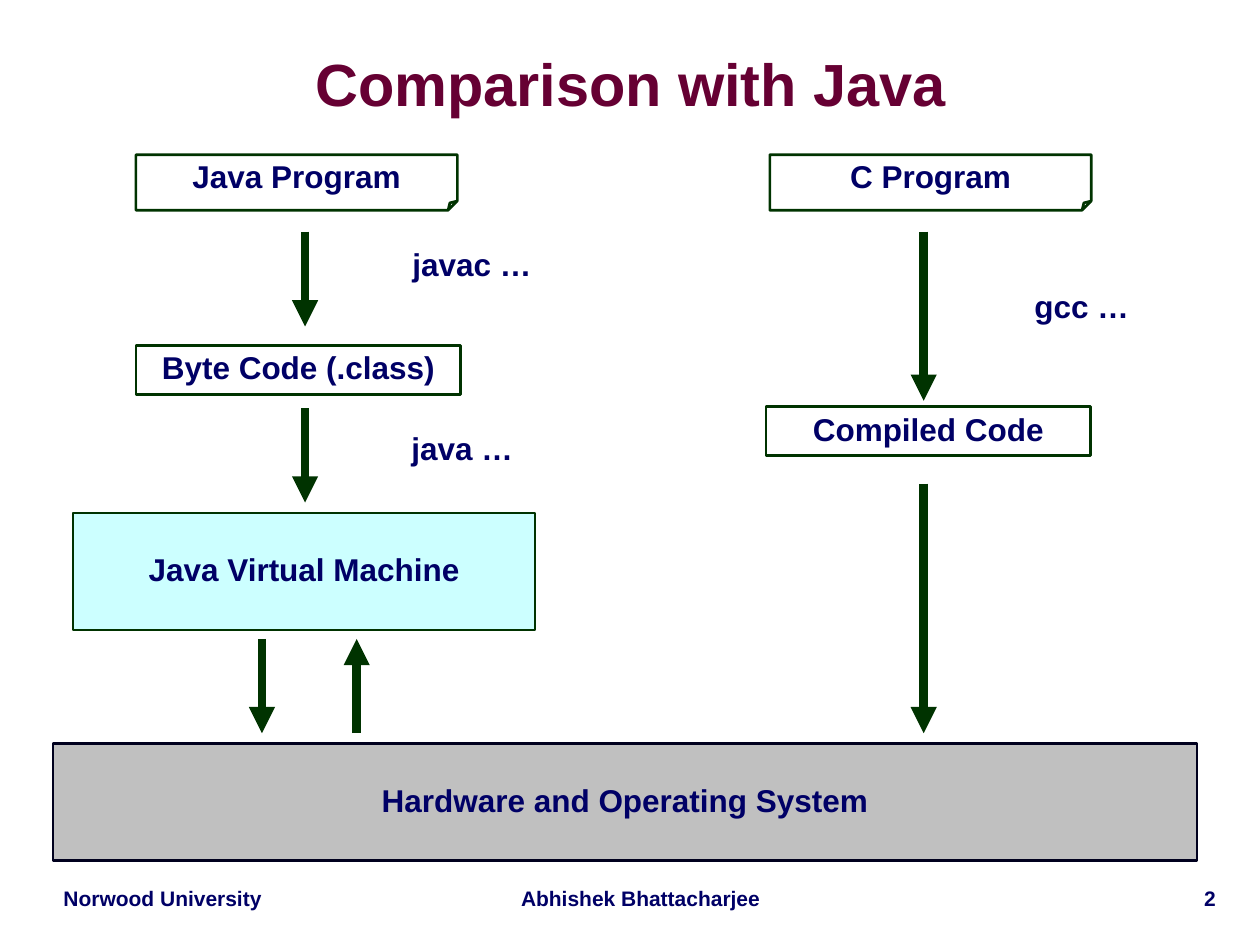
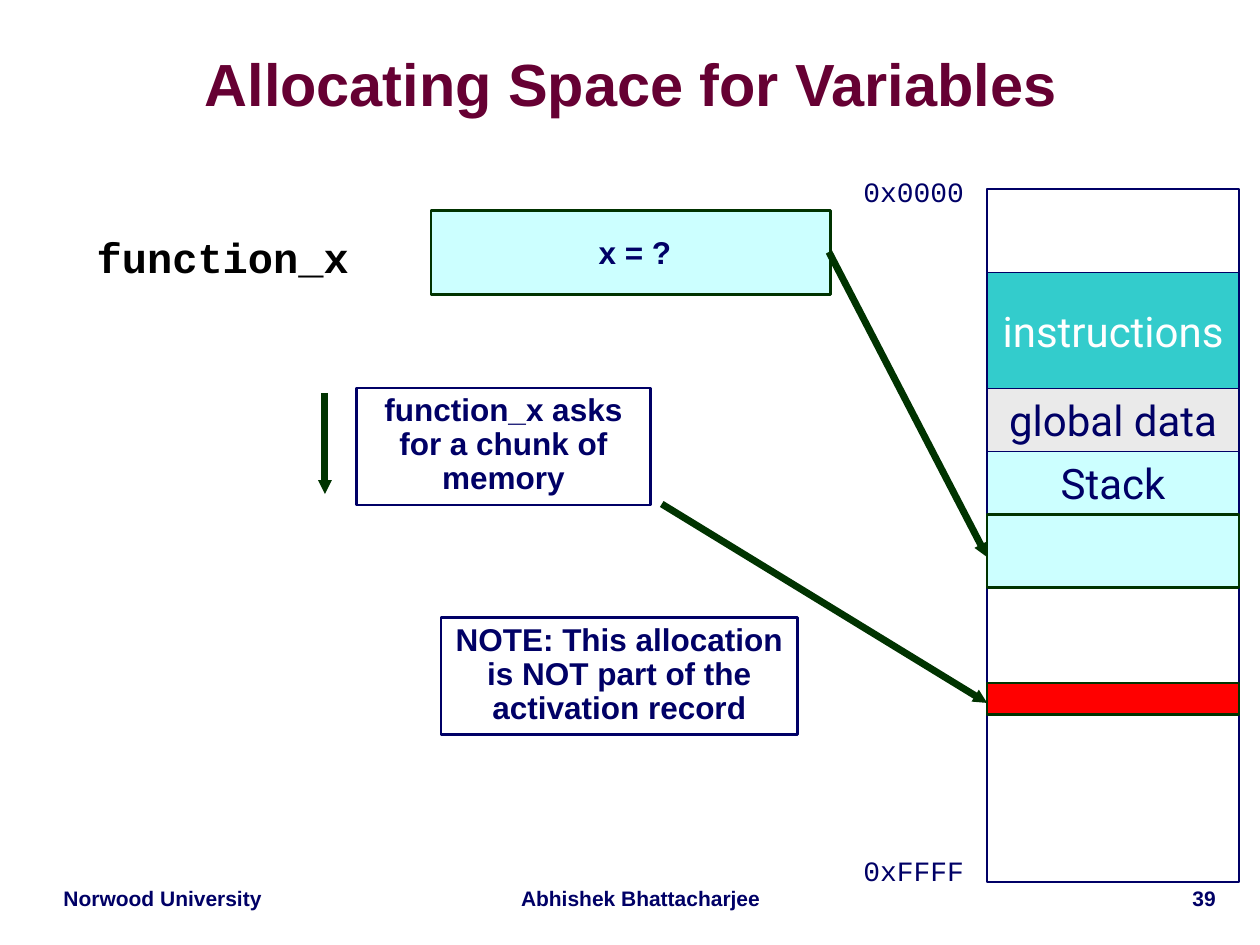
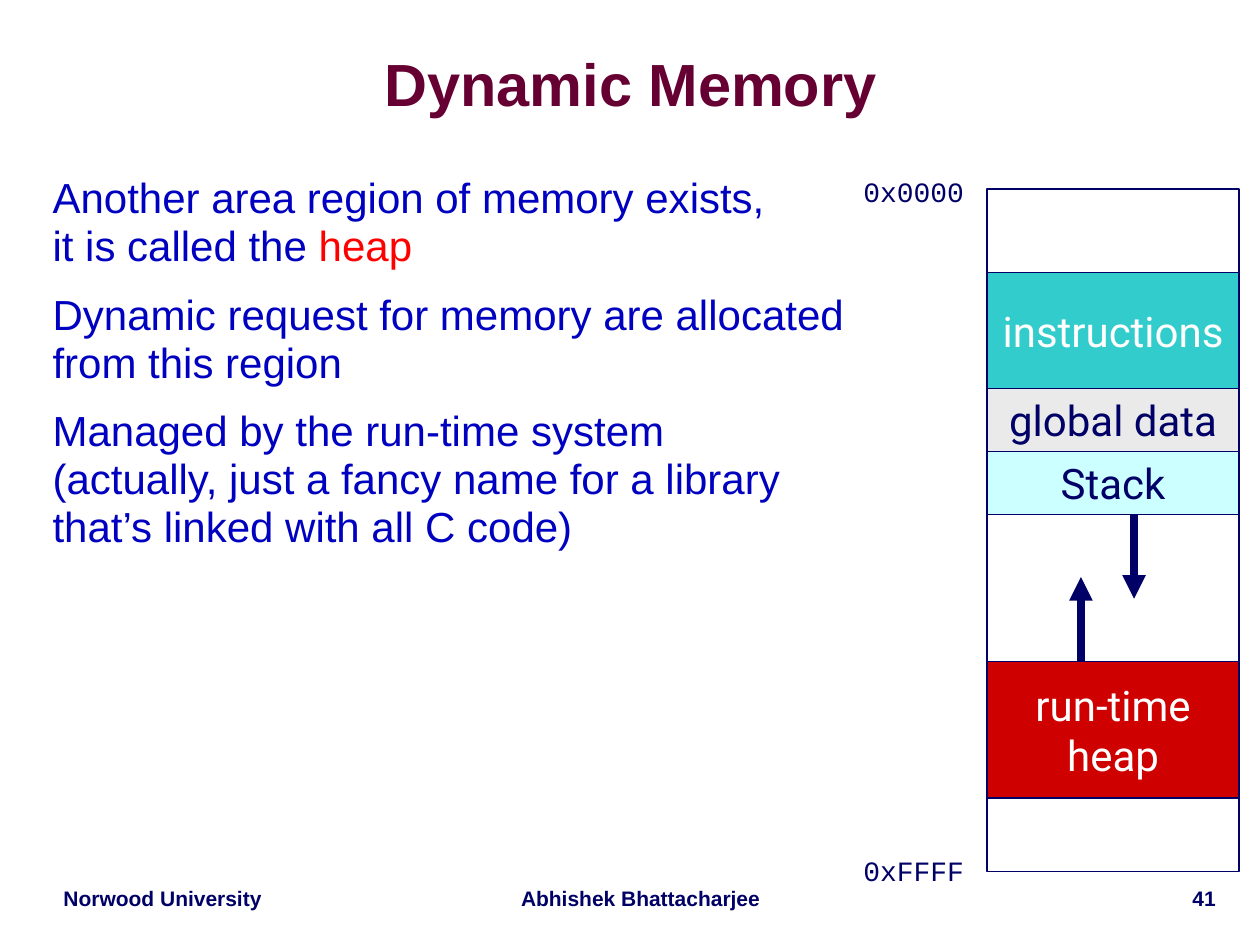
from copy import deepcopy
from dataclasses import dataclass

from lxml import etree
from pptx import Presentation
from pptx import util as u
from pptx.dml.color import RGBColor
from pptx.enum import shapes, text
from pptx.oxml.ns import qn

Cm, Pt = u.Cm, u.Pt
Kind, Align, Anchor = shapes.MSO_SHAPE, text.PP_ALIGN, text.MSO_ANCHOR


@dataclass(frozen=True)
class Theme:
    # Colours
    title: str = "660033"
    navy: str = "000066"
    body: str = "0000C0"
    green: str = "003300"
    dark: str = "00001E"
    cyan: str = "CCFFFF"
    teal: str = "33CCCC"
    grey: str = "C0C0C0"
    pale: str = "EAEAEA"
    red: str = "FF0000"
    heap: str = "CE0000"
    white: str = "FFFFFF"
    black: str = "000000"
    # Fonts and type sizes
    sans: str = "Arial"
    mono: str = "Courier New"
    block: str = "Roboto"
    title_size: int = 34
    large_size: int = 24
    label_size: int = 18
    address_size: int = 16
    footer_size: int = 12
    # Lengths in centimetres
    inset: float = 0.13
    column_left: float = 19.9
    column_top: float = 3.81
    column_width: float = 5.08


THEME = Theme()


@dataclass(frozen=True)
class Style:
    size: float = THEME.label_size
    color: str = THEME.navy
    font: str = THEME.sans
    bold: bool = True
    spacing: float = 0.9


LABEL = Style()
TITLE = Style(THEME.title_size, THEME.title, spacing=0.87)
FOOTER = Style(THEME.footer_size)
BODY = Style(THEME.large_size, THEME.body, bold=False, spacing=0.95)
CODE = Style(THEME.large_size, THEME.black, THEME.mono)
ADDRESS = Style(THEME.address_size, font=THEME.mono, bold=False, spacing=1.0)
BLOCK = Style(THEME.large_size, font=THEME.block, bold=False, spacing=1.0)
LIGHT_BLOCK = Style(THEME.large_size, THEME.white, THEME.block, False, 1.0)


# Text helpers

def format_span(span, style):
    font = span.font
    font.name, font.size, font.bold = style.font, Pt(style.size), style.bold
    font.color.rgb = RGBColor.from_string(style.color)


def format_para(para, style, align):
    para.alignment = align
    para.line_spacing = style.spacing
    for span in para.runs:
        format_span(span, style)


def fill_text(box, words, style=LABEL, align=Align.CENTER,
              anchor=Anchor.MIDDLE, wrap=True, inset=THEME.inset):
    frame = box.text_frame
    frame.text = words
    frame.word_wrap = wrap
    frame.auto_size = text.MSO_AUTO_SIZE.NONE
    frame.vertical_anchor = anchor
    frame.margin_left = frame.margin_right = Cm(inset)
    frame.margin_top = frame.margin_bottom = Cm(min(inset, THEME.inset))
    for para in frame.paragraphs:
        format_para(para, style, align)


def add_label(page, words, left, top, width, height=0.94, style=LABEL, **layout):
    box = page.shapes.add_textbox(Cm(left), Cm(top), Cm(width), Cm(height))
    fill_text(box, words, style, anchor=Anchor.TOP, **layout)


# Shapes and arrows

def add_box(page, left, top, width, height, words="", fill=None,
            line=THEME.green, weight=1.5, kind=Kind.RECTANGLE, **layout):
    box = page.shapes.add_shape(kind, Cm(left), Cm(top), Cm(width), Cm(height))
    box.shadow.inherit = False
    if fill:
        box.fill.solid()
        box.fill.fore_color.rgb = RGBColor.from_string(fill)
    else:
        box.fill.background()
    box.line.color.rgb = RGBColor.from_string(line)
    box.line.width = Pt(weight)
    if words:
        fill_text(box, words, **layout)


def add_arrow(page, start, end, color=THEME.green, weight=5, head="med"):
    (x1, y1), (x2, y2) = start, end
    arrow = page.shapes.add_connector(
        shapes.MSO_CONNECTOR.STRAIGHT, Cm(x1), Cm(y1), Cm(x2), Cm(y2))
    arrow.line.color.rgb = RGBColor.from_string(color)
    arrow.line.width = Pt(weight)
    properties = arrow._element.spPr
    etree.SubElement(properties.find(qn("a:ln")), qn("a:tailEnd"),
                     type="triangle", w=head, len=head)
    etree.SubElement(properties, qn("a:effectLst"))


# Shared page parts

def place(box, left, top, width, height):
    box.left, box.top = Cm(left), Cm(top)
    box.width, box.height = Cm(width), Cm(height)


def add_page(deck, layout, title, number):
    page = deck.slides.add_slide(deck.slide_layouts.get_by_name(layout))
    heading = page.shapes.title
    place(heading, 0.79, 0.69, 23.85, 2.16)
    fill_text(heading, title, TITLE, inset=0)
    for words, left, width, align in (
            ("Norwood University", 0.84, 4.88, Align.CENTER),
            ("Abhishek Bhattacharjee", 10.16, 5.51, Align.CENTER),
            (str(number), 20.75, 4.01, Align.RIGHT)):
        add_label(page, words, left, 17.78, width, 0.71, FOOTER,
                  align=align, inset=0.25)
    return page


def add_memory(page, lower_blocks):
    """Stack the memory regions from the lowest address downwards."""
    blocks = [
        ("", 1.69, THEME.white, BLOCK),
        ("instructions", 2.33, THEME.teal, LIGHT_BLOCK),
        ("global data", 1.27, THEME.pale, BLOCK),
        ("Stack", 1.27, THEME.cyan, BLOCK),
    ] + lower_blocks
    top = THEME.column_top
    for words, height, fill, style in blocks:
        add_box(page, THEME.column_left, top, THEME.column_width, height, words,
                fill, THEME.navy, 0.75, style=style, wrap=False)
        top += height
    for words, top in (("0x0000", 3.38), ("0xFFFF", 17.07)):
        add_label(page, words, 17.15, top, 2.54, style=ADDRESS,
                  wrap=False, inset=0.25)


def add_body(page, items):
    body = page.placeholders[1]
    place(body, 0.81, 3.4, 23.95, 13.97)
    fill_text(body, "", anchor=Anchor.TOP, inset=0.25)
    frame = body.text_frame
    for index, (words, accent) in enumerate(items):
        para = frame.add_paragraph() if index else frame.paragraphs[0]
        para.text = words
        format_para(para, BODY, Align.LEFT)
        para.space_before, para.space_after = Pt(0), Pt(12)
        # Line breaks take the type size of the text around them
        for line_break in para._p.findall(qn("a:br")):
            line_break.append(deepcopy(para.runs[0]._r.rPr))
        if accent:
            span = para.add_run()
            span.text = accent
            format_span(span, BODY)
            span.font.color.rgb = RGBColor.from_string(THEME.red)
        properties = para._p.get_or_add_pPr()
        properties.set("marL", "0")
        properties.set("indent", "0")
        etree.SubElement(properties, qn("a:buNone"))


# Pages

def comparison_page(deck):
    page = add_page(deck, "Title Only", "Comparison with Java", 2)
    # Boxes
    for words, left in (("Java Program", 2.74), ("C Program", 15.52)):
        add_box(page, left, 3.12, 6.48, 1.12, words, kind=Kind.FOLDED_CORNER)
    add_box(page, 2.74, 6.96, 6.55, 0.99, "Byte Code (.class)")
    add_box(page, 15.44, 8.2, 6.55, 0.99, "Compiled Code")
    add_box(page, 1.47, 10.34, 9.32, 2.36, "Java Virtual Machine", THEME.cyan)
    add_box(page, 1.07, 14.99, 23.06, 2.36, "Hardware and Operating System",
            THEME.grey, THEME.dark)
    # Steps between them
    for x, start, end in ((6.15, 4.67, 6.58), (6.15, 8.23, 10.13),
                          (5.28, 12.88, 14.78), (7.19, 14.78, 12.88),
                          (18.62, 4.67, 8.08), (18.62, 9.75, 14.78)):
        add_arrow(page, (x, start), (x, end))
    # Commands
    for words, left, top in (("javac …", 7.19, 4.9), ("java …", 6.99, 8.61),
                             ("gcc …", 19.48, 5.74)):
        add_label(page, words, left, top, 4.65)


def allocation_page(deck):
    page = add_page(deck, "Title Only", "Allocating Space for Variables", 39)
    add_memory(page, [("", 7.41, THEME.white, BLOCK)])
    # Function and its variable
    add_label(page, "function_x", 1.8, 4.65, 5.38, 1.19, CODE, wrap=False)
    add_box(page, 8.69, 4.24, 8.05, 1.7, fill=THEME.cyan)
    add_label(page, "x = ?", 10.26, 4.65, 5.08)
    # Notes
    for words, left, top, width in (
            ("function_x asks for a chunk of memory", 7.19, 7.82, 5.92),
            ("NOTE: This allocation is NOT part of the activation record",
             8.89, 12.45, 7.19)):
        add_box(page, left, top, width, 2.36, words, line=THEME.navy,
                anchor=Anchor.TOP)
    # Allocated regions and the arrows to them
    for top, height, fill in ((10.37, 1.47, THEME.cyan), (13.77, 0.64, THEME.red)):
        add_box(page, THEME.column_left, top, THEME.column_width, height, fill=fill)
    for start, end in (((16.71, 5.08), (THEME.column_left, 11.23)),
                       ((6.55, 7.92), (6.55, 9.96)),
                       ((13.34, 10.16), (THEME.column_left, 14.17))):
        add_arrow(page, start, end, weight=4, head="sm")


def heap_page(deck):
    page = add_page(deck, "Title and Content", "Dynamic Memory", 41)
    add_body(page, [
        ("Another area region of memory exists,\nit is called the ", "heap"),
        ("Dynamic request for memory are allocated\nfrom this region", ""),
        ("Managed by the run-time system\n"
         "(actually, just a fancy name for a library\n"
         "that’s linked with all C code)", ""),
    ])
    add_memory(page, [
        ("", 2.97, THEME.white, BLOCK),
        ("run-time\nheap", 2.75, THEME.heap, LIGHT_BLOCK),
        ("", 1.48, THEME.white, BLOCK),
    ])
    # Directions of growth
    for x, start, end in ((21.79, 13.34, 11.63), (22.86, 10.37, 12.07)):
        add_arrow(page, (x, start), (x, end), THEME.navy, 4.5)


def main():
    deck = Presentation()
    deck.slide_width, deck.slide_height = Cm(25.4), Cm(19.05)
    comparison_page(deck)
    allocation_page(deck)
    heap_page(deck)
    deck.save("out.pptx")


main()
